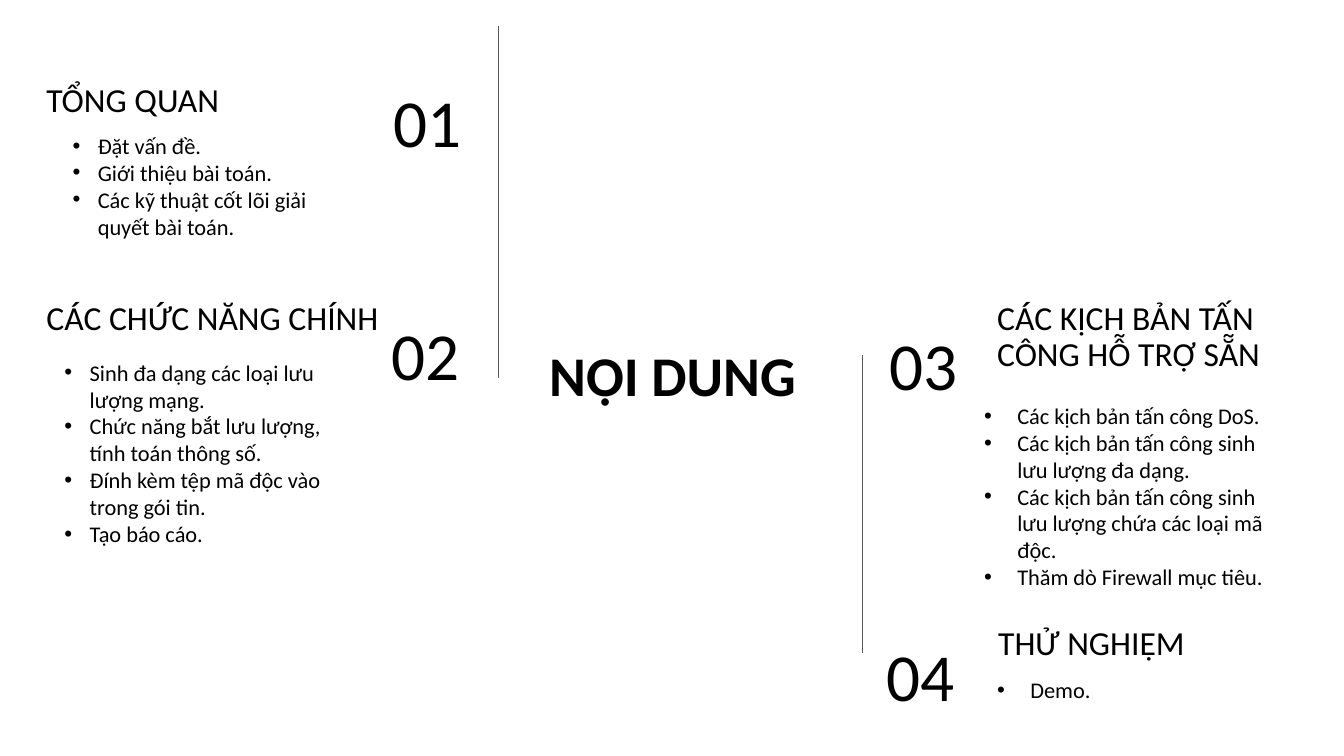
from dataclasses import dataclass

from lxml.etree import SubElement
from pptx import Presentation
from pptx.dml.color import RGBColor
from pptx.enum.shapes import MSO_CONNECTOR
from pptx.enum.text import MSO_ANCHOR, PP_ALIGN
from pptx.oxml.ns import qn
from pptx.slide import Slide
from pptx.text.text import TextFrame, _Paragraph
from pptx.util import Emu, Pt

PX = 9144  # EMU, 100 px to the inch
FONT = "Calibri"
COLORS = {"text": "000000", "rule": "595959"}
INSET = 13
HEADING_HEIGHT = 84


@dataclass(frozen=True)
class Box:
    left: int
    top: int
    width: int
    height: int


@dataclass(frozen=True)
class Section:
    number: str
    number_box: Box
    number_align: PP_ALIGN
    heading: str
    heading_box: Box
    items: tuple[str, ...]
    items_box: Box
    indent: int


@dataclass(frozen=True)
class Rule:
    x: int
    top: int
    bottom: int


SECTIONS = (
    Section(
        "01", Box(370, 83, 101, HEADING_HEIGHT), PP_ALIGN.RIGHT,
        "TỔNG QUAN", Box(33, 48, 347, HEADING_HEIGHT),
        (
            "Đặt vấn đề.",
            "Giới thiệu bài toán.",
            "Các kỹ thuật cốt lõi giải quyết bài toán.",
        ),
        Box(59, 118, 288, 122), 25,
    ),
    Section(
        "02", Box(358, 314, 111, HEADING_HEIGHT), PP_ALIGN.RIGHT,
        "CÁC CHỨC NĂNG CHÍNH", Box(33, 264, 379, HEADING_HEIGHT),
        (
            "Sinh đa dạng các loại lưu lượng mạng.",
            "Chức năng bắt lưu lượng, tính toán thông số.",
            "Đính kèm tệp mã độc vào trong gói tin.",
            "Tạo báo cáo.",
        ),
        Box(51, 343, 296, 251), 25,
    ),
    Section(
        "03", Box(869, 324, 156, HEADING_HEIGHT), PP_ALIGN.LEFT,
        "CÁC KỊCH BẢN TẤN CÔNG HỖ TRỢ SẴN", Box(976, 300, 319, HEADING_HEIGHT),
        (
            "Các kịch bản tấn công DoS.",
            "Các kịch bản tấn công sinh lưu lượng đa dạng.",
            "Các kịch bản tấn công sinh lưu lượng chứa các loại mã độc.",
            "Thăm dò Firewall mục tiêu.",
        ),
        Box(963, 386, 330, 193), 33,
    ),
    Section(
        "04", Box(866, 632, 156, HEADING_HEIGHT), PP_ALIGN.LEFT,
        "THỬ NGHIỆM", Box(977, 586, 343, HEADING_HEIGHT),
        ("Demo.",),
        Box(976, 658, 244, 83), 33,
    ),
)
RULES = (Rule(494, 26, 375), Rule(855, 352, 648))


def px(length: int) -> Emu:
    return Emu(length * PX)


def add_frame(slide: Slide, box: Box, anchor: MSO_ANCHOR) -> TextFrame:
    shape = slide.shapes.add_textbox(
        px(box.left), px(box.top), px(box.width), px(box.height)
    )
    frame = shape.text_frame
    frame.word_wrap = True
    frame.vertical_anchor = anchor
    frame.margin_left = frame.margin_right = px(INSET)
    frame.margin_top = frame.margin_bottom = px(INSET)
    return frame


def add_run(paragraph: _Paragraph, text: str, size: int, bold: bool = False) -> None:
    run = paragraph.add_run()
    run.text = text
    run.font.name = FONT
    run.font.size = Pt(size)
    run.font.bold = bold
    run.font.color.rgb = RGBColor.from_string(COLORS["text"])


def add_title(
    slide: Slide,
    box: Box,
    text: str,
    size: int,
    align: PP_ALIGN = PP_ALIGN.LEFT,
    anchor: MSO_ANCHOR = MSO_ANCHOR.MIDDLE,
    bold: bool = False,
) -> None:
    paragraph = add_frame(slide, box, anchor).paragraphs[0]
    paragraph.alignment = align
    paragraph.line_spacing = 0.9
    add_run(paragraph, text, size, bold)


def add_bullets(slide: Slide, box: Box, items: tuple[str, ...], indent: int) -> None:
    frame = add_frame(slide, box, MSO_ANCHOR.TOP)
    for index, item in enumerate(items):
        paragraph = frame.add_paragraph() if index else frame.paragraphs[0]
        properties = paragraph._p.get_or_add_pPr()
        properties.set("marL", str(px(indent)))
        properties.set("indent", str(-px(indent)))
        SubElement(properties, qn("a:buFont"), typeface="Arial")
        SubElement(properties, qn("a:buChar"), char="•")
        add_run(paragraph, item, 16)


def add_section(slide: Slide, section: Section) -> None:
    add_title(slide, section.number_box, section.number, 48, section.number_align)
    add_title(
        slide, section.heading_box, section.heading, 24, anchor=MSO_ANCHOR.BOTTOM
    )
    add_bullets(slide, section.items_box, section.items, section.indent)


def add_rule(slide: Slide, rule: Rule) -> None:
    connector = slide.shapes.add_connector(
        MSO_CONNECTOR.STRAIGHT,
        px(rule.x), px(rule.top), px(rule.x), px(rule.bottom),
    )
    connector.line.color.rgb = RGBColor.from_string(COLORS["rule"])
    connector.line.width = Pt(0.75)
    SubElement(connector._element.spPr, qn("a:effectLst"))


def main() -> None:
    presentation = Presentation()
    presentation.slide_width = px(1333)
    presentation.slide_height = px(750)
    slide = presentation.slides.add_slide(presentation.slide_layouts[6])
    add_title(
        slide, Box(494, 306, 346, 138), "NỘI DUNG", 40, PP_ALIGN.CENTER, bold=True
    )
    for section in SECTIONS:
        add_section(slide, section)
    for rule in RULES:
        add_rule(slide, rule)
    presentation.save("out.pptx")


if __name__ == "__main__":
    main()
